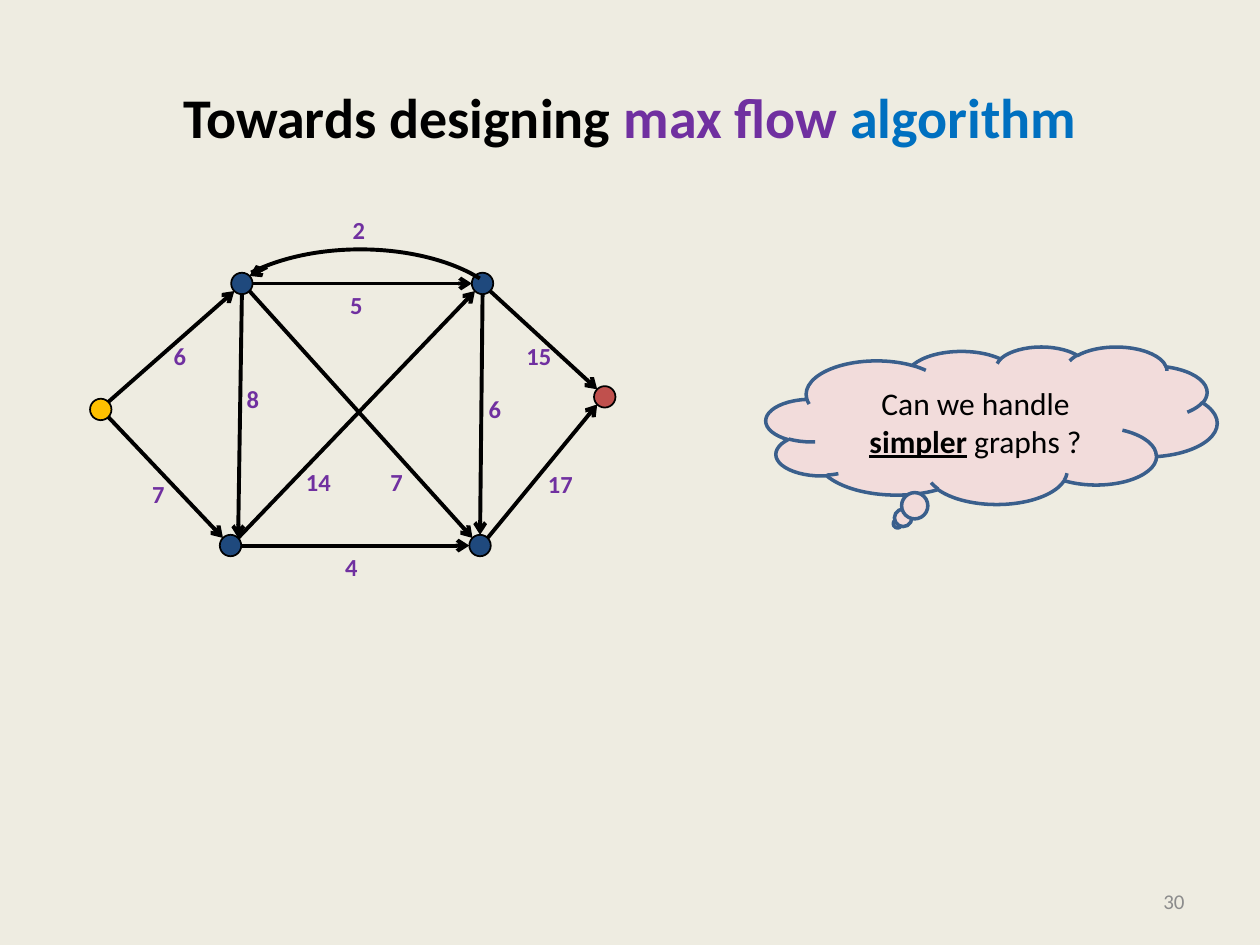
"""Build a slide with a capacitated flow network and a question in a cloud."""
from lxml.etree import SubElement
from pptx import Presentation
from pptx.dml.color import RGBColor
from pptx.enum.shapes import MSO_CONNECTOR, MSO_SHAPE
from pptx.enum.text import MSO_ANCHOR, MSO_AUTO_SIZE, PP_ALIGN
from pptx.oxml.ns import qn
from pptx.util import Inches, Pt

COLORS = {
    "background": "EEECE1", "black": "000000", "purple": "7030A0", "blue": "0070C0",
    "gray": "8C8C8C", "source": "FFC000", "inner": "1F497D", "sink": "C0504D",
    "cloud": "F2DCDB", "cloud_line": "3A5F8C",
}
DIAMETER = 0.17
DIAGONAL = 0.06
COMPASS = {
    "N": (0, -DIAMETER / 2), "S": (0, DIAMETER / 2),
    "E": (DIAMETER / 2, 0), "W": (-DIAMETER / 2, 0),
    "NE": (DIAGONAL, -DIAGONAL), "NW": (-DIAGONAL, -DIAGONAL),
    "SE": (DIAGONAL, DIAGONAL), "SW": (-DIAGONAL, DIAGONAL),
}
NODES = {
    "s": (0.8, 3.25, "source"), "a": (1.92, 2.25, "inner"), "b": (3.83, 2.25, "inner"),
    "c": (1.83, 4.33, "inner"), "d": (3.81, 4.33, "inner"), "t": (4.8, 3.15, "sink"),
}
EDGES = [
    ("s", "NE", "a", "SW"), ("s", "SE", "c", "NW"), ("a", "E", "b", "W"),
    ("a", "S", "c", "NE"), ("a", "SE", "d", "NW"), ("c", "NE", "b", "SW"),
    ("c", "E", "d", "W"), ("b", "S", "d", "N"), ("b", "SE", "t", "NW"),
    ("d", "NE", "t", "SW"),
]
CAPACITIES = [
    ("2", 2.7, 1.66), ("5", 2.68, 2.25), ("6", 1.28, 2.66), ("15", 4.08, 2.66),
    ("8", 1.86, 3), ("6", 3.78, 3.08), ("14", 2.33, 3.66), ("7", 3, 3.66),
    ("17", 4.25, 3.67), ("7", 1.11, 3.75), ("4", 2.64, 4.33),
]


def color(name):
    """Return the named palette colour."""
    return RGBColor.from_string(COLORS[name])


def anchor(node, side):
    """Return the point on a node's rim in a compass direction."""
    x, y, _ = NODES[node]
    dx, dy = COMPASS[side]
    return x + dx, y + dy


class SlideBuilder:
    """Hold the style and the slide that is being drawn."""

    font_name = "Calibri"
    edge_width = 2.25

    def __init__(self, slide):
        """Keep the slide and paint its background."""
        self.slide = slide
        slide.background.fill.solid()
        slide.background.fill.fore_color.rgb = color("background")

    def add_runs(self, text_frame, runs, size, align=PP_ALIGN.LEFT):
        """Fill a frame with one paragraph of (text, colour, bold, underline) runs."""
        paragraph = text_frame.paragraphs[0]
        paragraph.alignment = align
        for text, color_name, bold, underline in runs:
            run = paragraph.add_run()
            run.text = text
            run.font.name = self.font_name
            run.font.size = Pt(size)
            run.font.bold = bold
            run.font.underline = underline
            run.font.color.rgb = color(color_name)

    def title(self, runs):
        """Place and fill the title placeholder."""
        shape = self.slide.shapes.title
        shape.left, shape.top = Inches(0.5), Inches(0.3)
        shape.width, shape.height = Inches(9), Inches(1.25)
        shape.text_frame.vertical_anchor = MSO_ANCHOR.MIDDLE
        self.add_runs(shape.text_frame, runs, 32, PP_ALIGN.CENTER)

    def shape(self, kind, left, top, width, height, fill, line, line_width):
        """Add a preset shape; no fill name leaves it open."""
        shape = self.slide.shapes.add_shape(
            kind, Inches(left), Inches(top), Inches(width), Inches(height))
        shape.shadow.inherit = False
        if fill:
            shape.fill.solid()
            shape.fill.fore_color.rgb = color(fill)
        else:
            shape.fill.background()
        shape.line.color.rgb = color(line)
        shape.line.width = Pt(line_width)
        return shape

    def node(self, x, y, fill):
        """Add a round node centred on a point."""
        self.shape(MSO_SHAPE.OVAL, x - DIAMETER / 2, y - DIAMETER / 2,
                   DIAMETER, DIAMETER, fill, "black", 1)

    def arrow(self, start, end):
        """Add a straight arrow between two points."""
        points = [Inches(value) for value in (*start, *end)]
        connector = self.slide.shapes.add_connector(MSO_CONNECTOR.STRAIGHT, *points)
        connector.line.color.rgb = color("black")
        connector.line.width = Pt(self.edge_width)
        properties = connector._element.spPr
        SubElement(properties.find(qn("a:ln")), qn("a:tailEnd"), type="arrow")
        SubElement(properties, qn("a:effectLst"))

    def arc(self, left, top, width, height, start, end):
        """Add an open arc between two angles in degrees."""
        shape = self.shape(MSO_SHAPE.ARC, left, top, width, height,
                           None, "black", self.edge_width)
        shape.adjustments[0] = start * 0.6
        shape.adjustments[1] = end * 0.6

    def capacity(self, text, left, top):
        """Add an edge capacity label."""
        width = 0.2 + 0.1 * len(text)
        box = self.slide.shapes.add_textbox(
            Inches(left), Inches(top), Inches(width), Inches(0.34))
        box.text_frame.word_wrap = False
        box.text_frame.auto_size = MSO_AUTO_SIZE.SHAPE_TO_FIT_TEXT
        self.add_runs(box.text_frame, [(text, "purple", True, False)], 14)

    def cloud(self, left, top, width, height, runs):
        """Add a thought cloud with centred text."""
        shape = self.shape(MSO_SHAPE.CLOUD_CALLOUT, left, top, width, height,
                           "cloud", "cloud_line", 2)
        shape.text_frame.word_wrap = True
        shape.text_frame.vertical_anchor = MSO_ANCHOR.MIDDLE
        self.add_runs(shape.text_frame, runs, 18, PP_ALIGN.CENTER)

    def page_number(self, text):
        """Add the page number at the lower right."""
        box = self.slide.shapes.add_textbox(
            Inches(7.17), Inches(6.95), Inches(2.33), Inches(0.4))
        box.text_frame.word_wrap = True
        box.text_frame.vertical_anchor = MSO_ANCHOR.MIDDLE
        self.add_runs(box.text_frame, [(text, "gray", False, False)], 12, PP_ALIGN.RIGHT)


def main():
    """Draw the slide and save it."""
    presentation = Presentation()
    presentation.slide_width, presentation.slide_height = Inches(10), Inches(7.5)
    builder = SlideBuilder(presentation.slides.add_slide(presentation.slide_layouts[5]))
    builder.title([
        ("Towards designing ", "black", True, False),
        ("max flow ", "purple", True, False),
        ("algorithm", "blue", True, False),
    ])
    builder.page_number("30")
    for node in NODES.values():
        builder.node(*node)
    for tail, tail_side, head, head_side in EDGES:
        builder.arrow(anchor(tail, tail_side), anchor(head, head_side))
    builder.arc(1.63, 1.98, 2.46, 1.27, 207.55, 336.93)
    builder.arrow((2.12, 2.12), anchor("a", "NE"))
    for capacity in CAPACITIES:
        builder.capacity(*capacity)
    builder.cloud(6.08, 2.75, 3.58, 1.25, [
        ("Can we handle ", "black", False, False),
        ("simpler", "black", True, True),
        (" graphs ?", "black", False, False),
    ])
    presentation.save("out.pptx")


if __name__ == "__main__":
    main()
